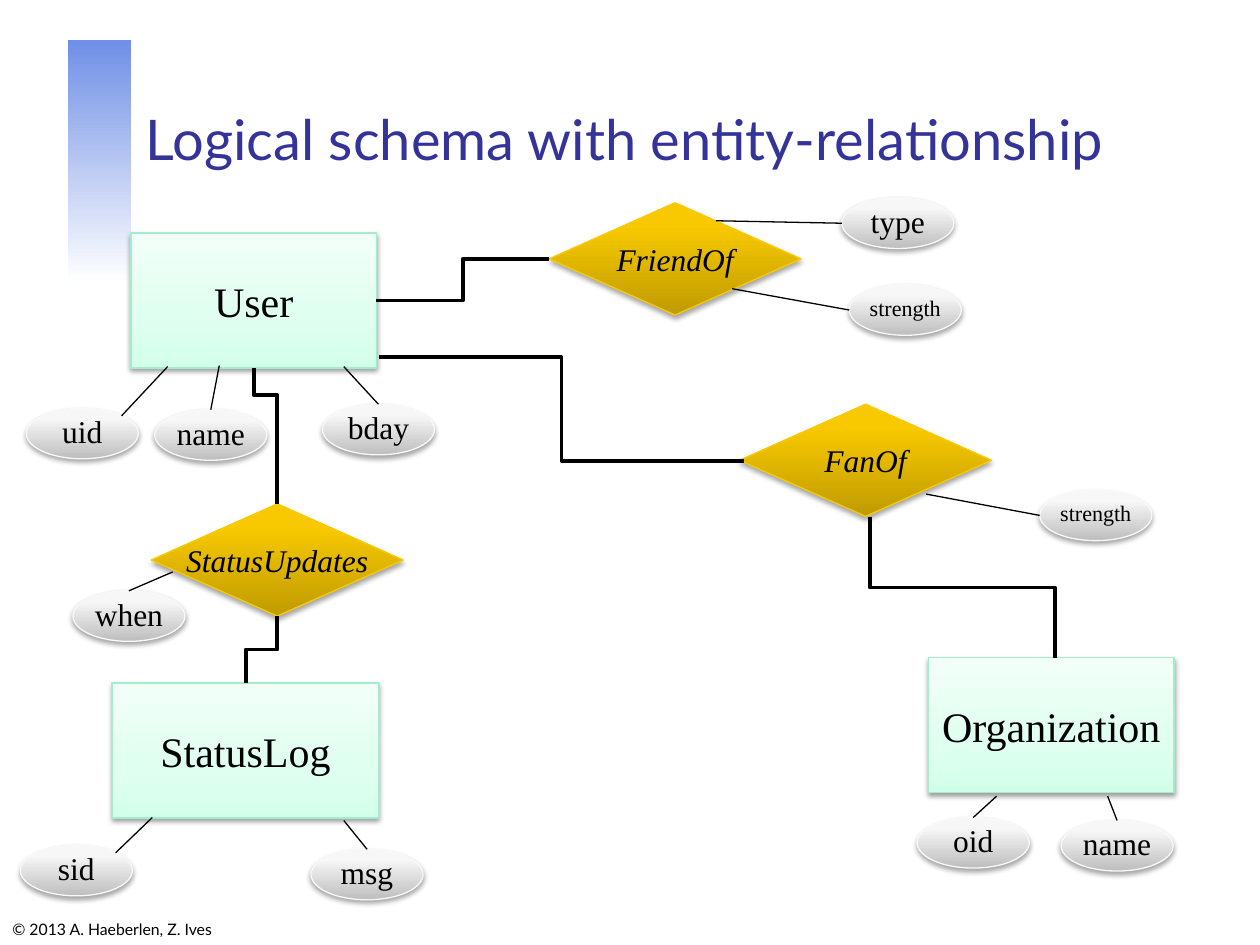
from lxml.etree import SubElement
from pptx import Presentation
from pptx.dml.color import RGBColor
from pptx.enum.shapes import MSO_CONNECTOR as LINK, MSO_SHAPE as SHAPE
from pptx.enum.text import MSO_ANCHOR as ANCHOR, PP_ALIGN as ALIGN
from pptx.oxml import parse_xml
from pptx.oxml.ns import nsdecls, qn
from pptx.util import Cm, Pt

COLORS = {"ink": "000000", "title": "333399", "entity_line": "A5EBCD",
          "relation_line": "FACB00", "attribute_line": "F9F9F9"}
GRADIENTS = {
    "bar": [(0, "708FE6"), (100, "FFFFFF")],
    "entity": [(0, "D2FFEA"), (35, "DFFFF0"), (100, "F2FFF9")],
    "relation": [(0, "BF9B00"), (80, "F8C900"), (100, "F9CA00")],
    "attribute": [(0, "BEBEBE"), (80, "F7F7F7"), (100, "F8F8F8")],
}
SERIF, SANS = "Times New Roman", "Lato"
ENTITY_H = 2.72
DIAMOND_W, DIAMOND_H = 5.08, 2.26
OVAL_W, OVAL_H = 2.26, 1.02
# Points on an oval, as fractions of its width and height
OVAL_SITES = {"top": (0.5, 0), "left": (0, 0.5), "corner": (0.85, 0.15)}


def rgb(name):
    return RGBColor.from_string(COLORS[name])


def write(frame, text, size, font, color="ink", italic=False, align=ALIGN.CENTER):
    frame.text = text
    paragraph = frame.paragraphs[0]
    paragraph.alignment = align
    style = paragraph.runs[0].font
    style.size, style.name, style.italic = Pt(size), font, italic
    style.color.rgb = rgb(color)
    return paragraph


def paint(shape, gradient, angle):
    stops = "".join(f'<a:gs pos="{pos * 1000}"><a:srgbClr val="{color}"/></a:gs>'
                    for pos, color in GRADIENTS[gradient])
    shape._element.spPr.insert(2, parse_xml(
        f'<a:gradFill {nsdecls("a")} rotWithShape="1"><a:gsLst>{stops}</a:gsLst>'
        f'<a:lin ang="{angle * 60000}" scaled="0"/></a:gradFill>'))


def add_node(slide, kind, preset, box, text, size, italic=False):
    """A shaded shape with centred text."""
    node = slide.shapes.add_shape(preset, *map(Cm, box))
    node.line.color.rgb = rgb(f"{kind}_line")
    node.line.width = Pt(0.75)
    paint(node, kind, 270)
    distance, alpha = (1.6, 38) if kind == "entity" else (1.8, 35)
    node._element.spPr.append(parse_xml(
        f'<a:effectLst {nsdecls("a")}><a:outerShdw blurRad="{Pt(3.1)}" dist="{Pt(distance)}" '
        f'dir="5400000" rotWithShape="0"><a:srgbClr val="000000">'
        f'<a:alpha val="{alpha * 1000}"/></a:srgbClr></a:outerShdw></a:effectLst>'))
    frame = node.text_frame
    frame.vertical_anchor = ANCHOR.MIDDLE
    frame.word_wrap = kind != "relation"
    if kind != "entity":
        frame.margin_left = frame.margin_right = frame.margin_top = frame.margin_bottom = 0
    paragraph = write(frame, text, size, SERIF, italic=italic)
    if kind == "attribute":
        paragraph.line_spacing = 0.9 if size == 18 else 0.8
    return node


def add_link(slide, kind, start, end, width):
    link = slide.shapes.add_connector(kind, *map(Cm, (*start, *end)))
    link.line.color.rgb = rgb("ink")
    link.line.width = Pt(width)
    SubElement(link._element.spPr, qn("a:effectLst"))
    return link


def add_attributes(slide, left, top, attributes):
    """Ovals and their lines, placed relative to the owner's corner."""
    for text, dx, dy, site, target_dx, target_dy in attributes:
        x, y = left + dx, top + dy
        oval = add_node(slide, "attribute", SHAPE.OVAL, (x, y, OVAL_W, OVAL_H), text,
                        12.6 if text == "strength" else 18)
        across, down = OVAL_SITES[site]
        line = add_link(slide, LINK.STRAIGHT, (x + across * OVAL_W, y + down * OVAL_H),
                        (left + target_dx, top + target_dy), 0.75)
        if site == "top":
            line.begin_connect(oval, 0)


def add_entity(slide, text, left, top, width, attributes):
    entity = add_node(slide, "entity", SHAPE.RECTANGLE, (left, top, width, ENTITY_H), text, 24)
    add_attributes(slide, left, top, attributes)
    return entity


def add_relation(slide, text, left, top, attributes):
    relation = add_node(slide, "relation", SHAPE.DIAMOND,
                        (left, top, DIAMOND_W, DIAMOND_H), text, 18, italic=True)
    add_attributes(slide, left, top, attributes)
    return relation


def add_elbow(slide, start, end, ends=None, vertical=False, bend=0.5):
    """A bent link; ends holds (shape, site) for both ends when it is joined."""
    link = add_link(slide, LINK.ELBOW, start, end, 2.25)
    if ends:
        link.begin_connect(*ends[0])
        link.end_connect(*ends[1])
    if vertical:  # leave downwards: turn the frame a quarter about its centre
        x1, y1, x2, y2 = link.begin_x, link.begin_y, link.end_x, link.end_y
        length, breadth = y2 - y1, abs(x2 - x1)
        link.left, link.top = (x1 + x2 - length) // 2, (y1 + y2 - breadth) // 2
        link.width, link.height = length, breadth
        frame = link._element.spPr.find(qn("a:xfrm"))
        frame.attrib.pop("flipH", None)
        frame.set("rot", str((270 if x2 > x1 else 90) * 60000))
        if x2 > x1:
            frame.set("flipH", "1")
    guides = link._element.spPr.find(qn("a:prstGeom")).get_or_add_avLst()
    SubElement(guides, qn("a:gd"), name="adj1", fmla=f"val {round(bend * 100000)}")


def add_label(slide, box, text, size, color):
    label = slide.shapes.add_textbox(*map(Cm, box))
    label.text_frame.word_wrap = True
    label.text_frame.vertical_anchor = ANCHOR.BOTTOM
    write(label.text_frame, text, size, SANS, color, align=ALIGN.LEFT)


def add_frame(slide):
    """Side bar, copyright line and title."""
    bar = slide.shapes.add_shape(SHAPE.RECTANGLE, *map(Cm, (1.37, 0.81, 1.27, 4.9)))
    bar.shadow.inherit = False
    bar.line.fill.background()
    paint(bar, "bar", 90)
    add_label(slide, (0, 18.34, 4.95, 0.71), "© 2013 A. Haeberlen, Z. Ives", 9, "ink")
    add_label(slide, (2.69, 0.84, 21.64, 2.74), "Logical schema with entity-relationship",
              32, "title")


def add_schema(slide):
    # Entities: attributes are (text, dx, dy, oval site, target dx, target dy)
    user = add_entity(slide, "User", 2.64, 4.7, 4.95, [
        ("uid", -2.11, 3.53, "corner", 0.74, 2.69),
        ("name", 0.48, 3.56, "top", 1.78, 2.67),
        ("bday", 3.86, 3.45, "top", 4.29, 2.69)])
    add_entity(slide, "Organization", 18.72, 13.26, 4.95, [
        ("oid", -0.23, 3.22, "top", 1.37, 2.79),
        ("name", 2.67, 3.28, "top", 3.61, 2.79)])
    status_log = add_entity(slide, "StatusLog", 2.26, 13.77, 5.38, [
        ("sid", -1.85, 3.27, "corner", 0.81, 2.71),
        ("msg", 4.01, 3.35, "top", 4.67, 2.77)])

    # Relationships
    friend_of = add_relation(slide, "FriendOf", 11.07, 4.09, [
        ("type", 5.9, -0.1, "left", 3.36, 0.36),
        ("strength", 6.05, 1.65, "left", 3.69, 1.73)])
    status_updates = add_relation(slide, "StatusUpdates", 3.05, 10.16, [
        ("when", -1.58, 1.75, "top", 0.43, 1.37)])
    add_relation(slide, "FanOf", 14.91, 8.15, [
        ("strength", 6.05, 1.73, "left", 3.76, 1.81)])

    # Links between entities and relationships
    add_elbow(slide, (7.59, 6.06), (11.07, 5.22), ((user, 3), (friend_of, 1)))
    add_elbow(slide, (5.11, 7.42), (5.59, 10.16), ((user, 2), (status_updates, 0)),
              vertical=True, bend=0.2)
    add_elbow(slide, (5.59, 12.42), (4.95, 13.77), ((status_updates, 2), (status_log, 0)),
              vertical=True)
    add_elbow(slide, (17.53, 10.43), (21.27, 13.26), vertical=True)
    add_elbow(slide, (7.65, 7.2), (14.99, 9.29))


def main():
    deck = Presentation()
    deck.slide_width, deck.slide_height = Cm(25.4), Cm(19.05)
    slide = deck.slides.add_slide(deck.slide_layouts[6])
    add_frame(slide)
    add_schema(slide)
    deck.save("out.pptx")


if __name__ == "__main__":
    main()
